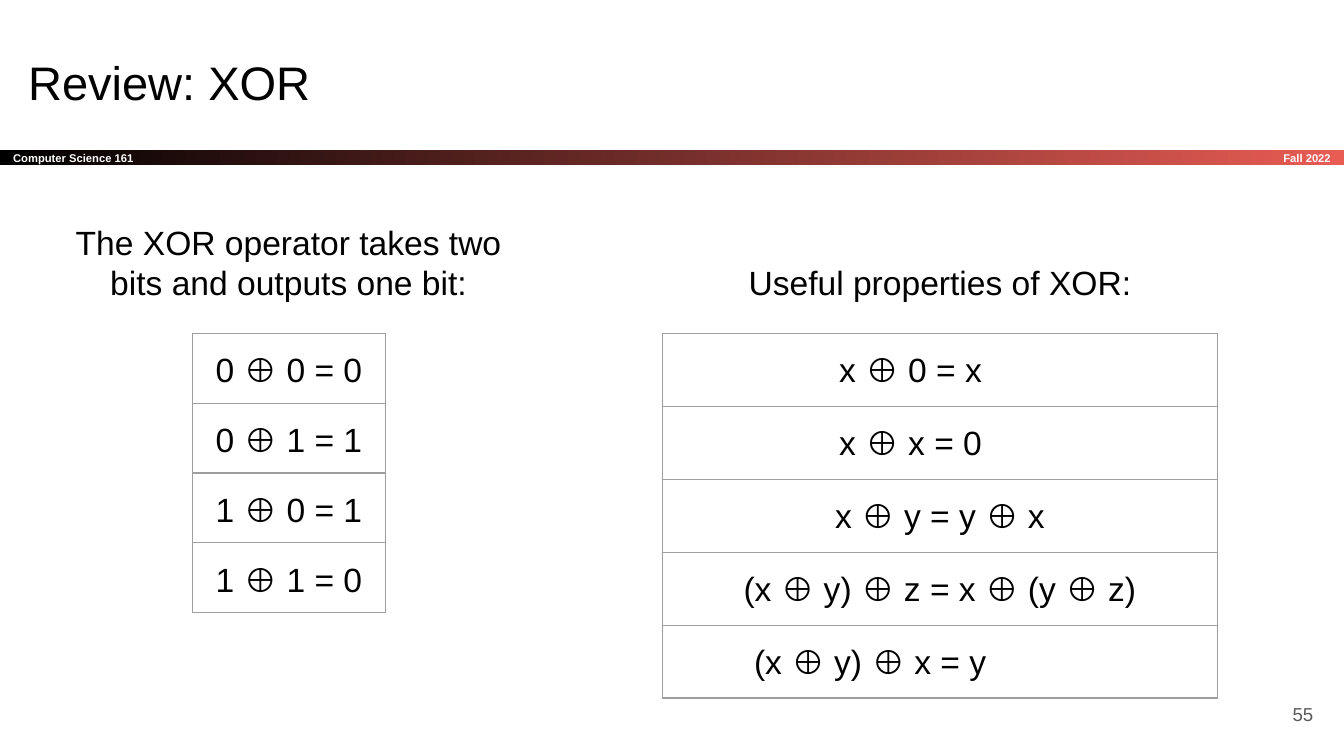
from lxml import etree
from pptx import Presentation
from pptx.dml.color import RGBColor as Rgb
from pptx.enum.shapes import MSO_SHAPE as Shape
from pptx.enum.text import MSO_ANCHOR as Anchor, MSO_AUTO_SIZE as Fit, PP_ALIGN as Align
from pptx.oxml.ns import qn
from pptx.util import Cm, Pt

# Content
TITLE = "Review: XOR"
COURSE, TERM, PAGE = "Computer Science 161", "Fall 2022", "55"
COLORS = {"ink": "000000", "red": "E85C54", "paper": "FFFFFF",
          "grey": "595959", "rule": "9E9E9E"}

# Each row: text, left indent in cm (None = centred)
TABLES = [
    {"head": "The XOR operator takes two bits and outputs one bit:",
     "box": (0.91, 3.94, 9.09, 2.06),
     "left": 3.64, "width": 3.64, "row": 1.32,
     "rows": [("0 ⊕ 0 = 0", None), ("0 ⊕ 1 = 1", None),
              ("1 ⊕ 0 = 1", None), ("1 ⊕ 1 = 0", None)]},
    {"head": "Useful properties of XOR:",
     "box": (12.52, 4.7, 10.49, 1.27),
     "left": 12.52, "width": 10.49, "row": 1.38,
     "rows": [("x ⊕ 0 = x", 3.09), ("x ⊕ x = 0", 3.09),
              ("x ⊕ y = y ⊕ x", None),
              ("(x ⊕ y) ⊕ z = x ⊕ (y ⊕ z)", None),
              ("(x ⊕ y) ⊕ x = y", 1.48)]},
]
TOP = 6.3
PAD = 0.25
BAR = (0, 2.83, 25.4, 0.3)


def rgb(name):
    return Rgb.from_string(COLORS[name])


def write(frame, text, size, color="ink", align=Align.LEFT, bold=False):
    frame.text = text
    para = frame.paragraphs[0]
    para.alignment = align
    font = para.runs[0].font
    font.size, font.name, font.bold = Pt(size), "Arial", bold
    font.color.rgb = rgb(color)
    return para


def setup(frame, anchor=Anchor.TOP, pad=PAD):
    frame.word_wrap = True
    frame.auto_size = Fit.NONE
    frame.vertical_anchor = anchor
    frame.margin_left = frame.margin_right = Cm(PAD)
    frame.margin_top = frame.margin_bottom = Cm(pad)
    return frame


def add_text(box, text, size, anchor=Anchor.TOP, pad=PAD, **style):
    shape = slide.shapes.add_textbox(*map(Cm, box))
    write(setup(shape.text_frame, anchor, pad), text, size, **style)


def add_rules(cell):
    props = cell._tc.get_or_add_tcPr()
    for spot, side in enumerate(("lnL", "lnR", "lnT", "lnB")):
        line = etree.Element(qn("a:" + side), w=str(Pt(0.75)))
        fill = etree.SubElement(line, qn("a:solidFill"))
        etree.SubElement(fill, qn("a:srgbClr"), val=COLORS["rule"])
        props.insert(spot, line)


def add_grid(left, width, row, rows):
    high = row * len(rows)
    table = slide.shapes.add_table(len(rows), 1, Cm(left), Cm(TOP),
                                   Cm(width), Cm(high)).table
    table.first_row = table.horz_banding = False
    for i, (text, indent) in enumerate(rows):
        table.rows[i].height = Cm(row)
        cell = table.cell(i, 0)
        cell.margin_left = cell.margin_right = Cm(PAD)
        cell.margin_top = cell.margin_bottom = Cm(PAD)
        cell.fill.background()
        add_rules(cell)
        align = Align.CENTER if indent is None else Align.LEFT
        para = write(cell.text_frame, text, 18, align=align)
        para.line_spacing, para.space_after = 1.15, Pt(12)
        if indent is not None:
            props = para._p.get_or_add_pPr()
            props.set("marL", str(Cm(indent)))
            props.set("indent", "0")


deck = Presentation()
deck.slide_width, deck.slide_height = Cm(25.4), Cm(14.29)
slide = deck.slides.add_slide(deck.slide_layouts[5])

# Gradient bar with course and term
bar = slide.shapes.add_shape(Shape.RECTANGLE, *map(Cm, BAR))
bar.shadow.inherit = False
bar.line.fill.background()
bar.fill.gradient()
bar.fill.gradient_angle = 0
for stop, name, spot in zip(bar.fill.gradient_stops, ("ink", "red"), (0, 1)):
    stop.color.rgb, stop.position = rgb(name), spot
write(setup(bar.text_frame, Anchor.MIDDLE, 0), COURSE, 6, "paper", bold=True)
add_text((21.18, BAR[1], 4.22, BAR[3]), TERM, 6, Anchor.MIDDLE, 0,
         color="paper", align=Align.RIGHT, bold=True)

# Title and page number
title = slide.shapes.title
title.left, title.top, title.width, title.height = map(Cm, (0.28, 0.76, 23.67, 1.6))
write(setup(title.text_frame), TITLE, 25.2)
add_text((23.55, 12.95, 1.52, 1.09), PAGE, 10, Anchor.MIDDLE,
         color="grey", align=Align.RIGHT)

# Headings and tables
for part in TABLES:
    add_text(part["box"], part["head"], 18, align=Align.CENTER)
    add_grid(part["left"], part["width"], part["row"], part["rows"])

deck.save("out.pptx")
